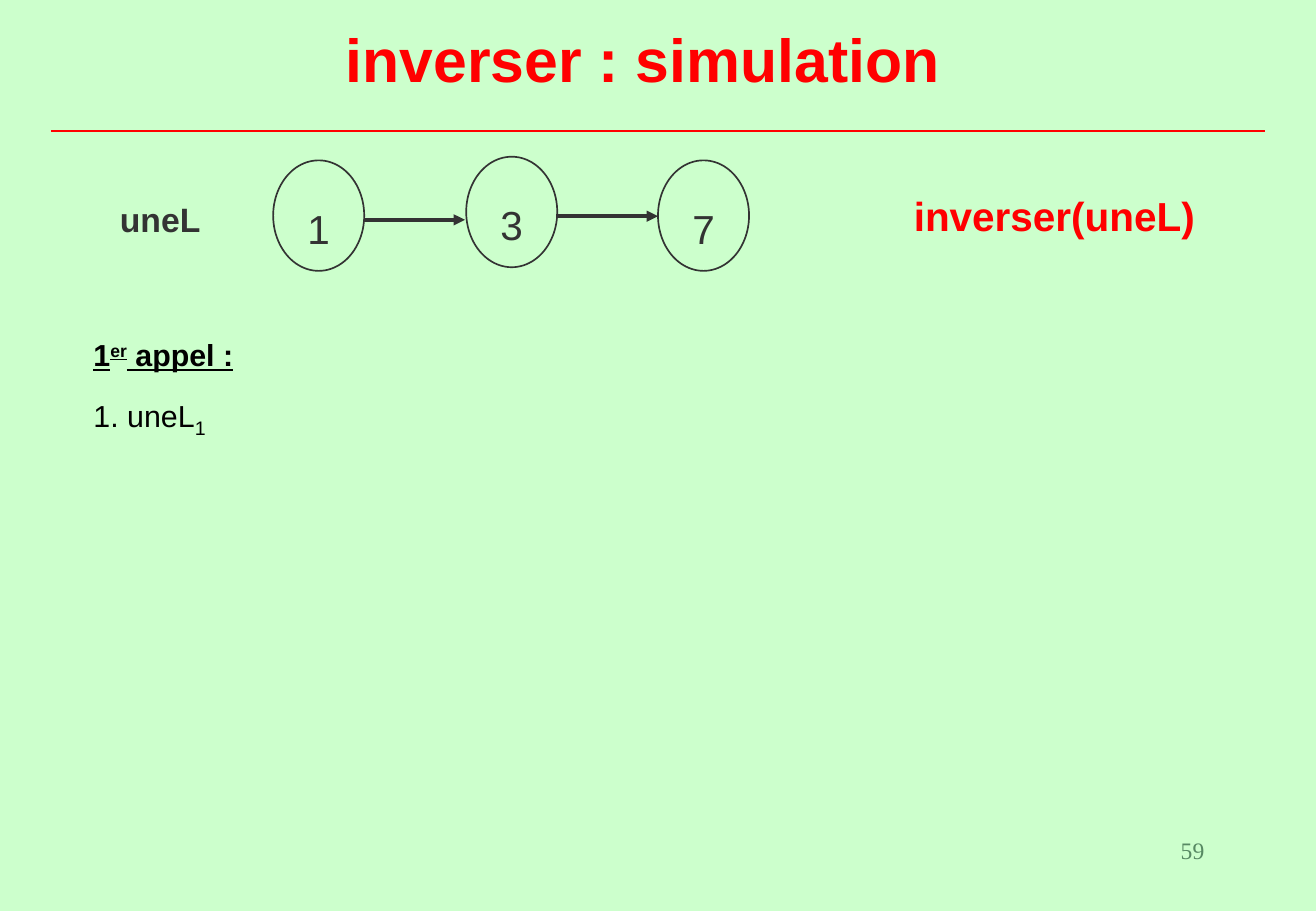
from lxml import etree
from pptx import Presentation
from pptx import util as u
from pptx.dml import color
from pptx.enum import shapes, text
from pptx.oxml import ns

COLORS = {
    "background": "CCFFCC",
    "accent": "FF0000",
    "node": "333333",
    "body": "010000",
    "number": "578963",
}
ALIGN = text.PP_ALIGN


def rgb(name):
    return color.RGBColor.from_string(COLORS[name])


def add_span(para, words, size, tint, bold=False, underline=False,
             font="Arial", baseline=0):
    span = para.add_run()
    span.text = words
    span.font.name = font
    span.font.size = u.Pt(size)
    span.font.bold = bold
    span.font.underline = underline
    span.font.color.rgb = rgb(tint)
    if baseline:
        span.font._element.set("baseline", str(baseline * 1000))


def set_frame(box, wrap=True, anchor=text.MSO_ANCHOR.TOP, top=0.05):
    frame = box.text_frame
    frame.auto_size = text.MSO_AUTO_SIZE.NONE
    frame.word_wrap = wrap
    frame.vertical_anchor = anchor
    frame.margin_left = frame.margin_right = u.Inches(0.1)
    frame.margin_top = u.Inches(top)
    frame.margin_bottom = u.Inches(0.05)
    return frame


def format_para(para, align=ALIGN.LEFT, spacing=1.0, before=0):
    para.alignment = align
    para.line_spacing = spacing
    para.space_before = u.Pt(before)
    return para


def place(box, left, top, width, height):
    box.left, box.top = u.Inches(left), u.Inches(top)
    box.width, box.height = u.Inches(width), u.Inches(height)


def add_label(page, words, area, align=ALIGN.CENTER, spacing=0.5,
              wrap=False, **style):
    box = page.shapes.add_textbox(*map(u.Inches, area))
    para = set_frame(box, wrap).paragraphs[0]
    add_span(format_para(para, align, spacing), words, **style)


def add_node(page, value, left, top):
    node = page.shapes.add_shape(
        shapes.MSO_SHAPE.OVAL, u.Inches(left), u.Inches(top),
        u.Inches(0.75), u.Inches(0.91))
    node.shadow.inherit = False
    node.fill.background()
    node.line.color.rgb = rgb("node")
    node.line.width = u.Pt(1)
    frame = set_frame(node, anchor=text.MSO_ANCHOR.MIDDLE, top=0.26)
    add_span(format_para(frame.paragraphs[0], ALIGN.CENTER), value, 24, "node")


def add_line(page, left, right, y, tint, width, arrow=False):
    line = page.shapes.add_connector(
        shapes.MSO_CONNECTOR.STRAIGHT, u.Inches(left), u.Inches(y),
        u.Inches(right), u.Inches(y))
    line.line.color.rgb = rgb(tint)
    line.line.width = u.Pt(width)
    if arrow:
        etree.SubElement(line.line._get_or_add_ln(), ns.qn("a:tailEnd"),
                         type="triangle")
    etree.SubElement(line._element.spPr, ns.qn("a:effectLst"))


def fill_title(title):
    place(title, 2.75, 0.13, 5.4, 0.7)
    para = set_frame(title).paragraphs[0]
    add_span(format_para(para), "inverser : simulation", 36, "accent", bold=True)


def fill_calls(body):
    place(body, 0.67, 2.75, 2, 0.89)
    frame = set_frame(body)
    heading, step = frame.paragraphs[0], frame.add_paragraph()
    for para, before in ((heading, 0), (step, 12.5)):
        properties = para._p.get_or_add_pPr()
        properties.set("marL", "0")
        properties.set("indent", "0")
        etree.SubElement(properties, ns.qn("a:buNone"))
        format_para(para, spacing=0.9, before=before)
    for words, baseline in (("1", 0), ("er", 30), (" appel :", 0)):
        add_span(heading, words, 18, "body", bold=True, underline=True,
                 baseline=baseline)
    add_span(step, "1. uneL", 18, "body")
    add_span(step, "1", 20, "body", baseline=-25)


def main():
    deck = Presentation()
    deck.slide_width, deck.slide_height = u.Inches(10.84), u.Inches(7.5)
    page = deck.slides.add_slide(deck.slide_layouts[1])
    page.background.fill.solid()
    page.background.fill.fore_color.rgb = rgb("background")

    fill_title(page.shapes.title)
    fill_calls(page.placeholders[1])
    add_line(page, 0.42, 10.42, 1.08, "accent", 1)

    add_label(page, "uneL", (0.89, 1.73, 0.86, 0.27),
              size=20, tint="node", bold=True)
    for value, left, top in (("1", 2.25, 1.32), ("3", 3.84, 1.29),
                             ("7", 5.42, 1.32)):
        add_node(page, value, left, top)
    for left, right, y in ((3, 3.83, 1.81), (4.58, 5.42, 1.78)):
        add_line(page, left, right, y, "node", 2.25, arrow=True)
    add_label(page, "inverser(uneL)", (7.43, 1.7, 2.51, 0.3),
              size=24, tint="accent", bold=True)

    add_label(page, "59", (7.76, 6.83, 2.26, 0.5), align=ALIGN.RIGHT,
              spacing=1.0, wrap=True, size=14, tint="number",
              font="Times New Roman")
    deck.save("out.pptx")


if __name__ == "__main__":
    main()
